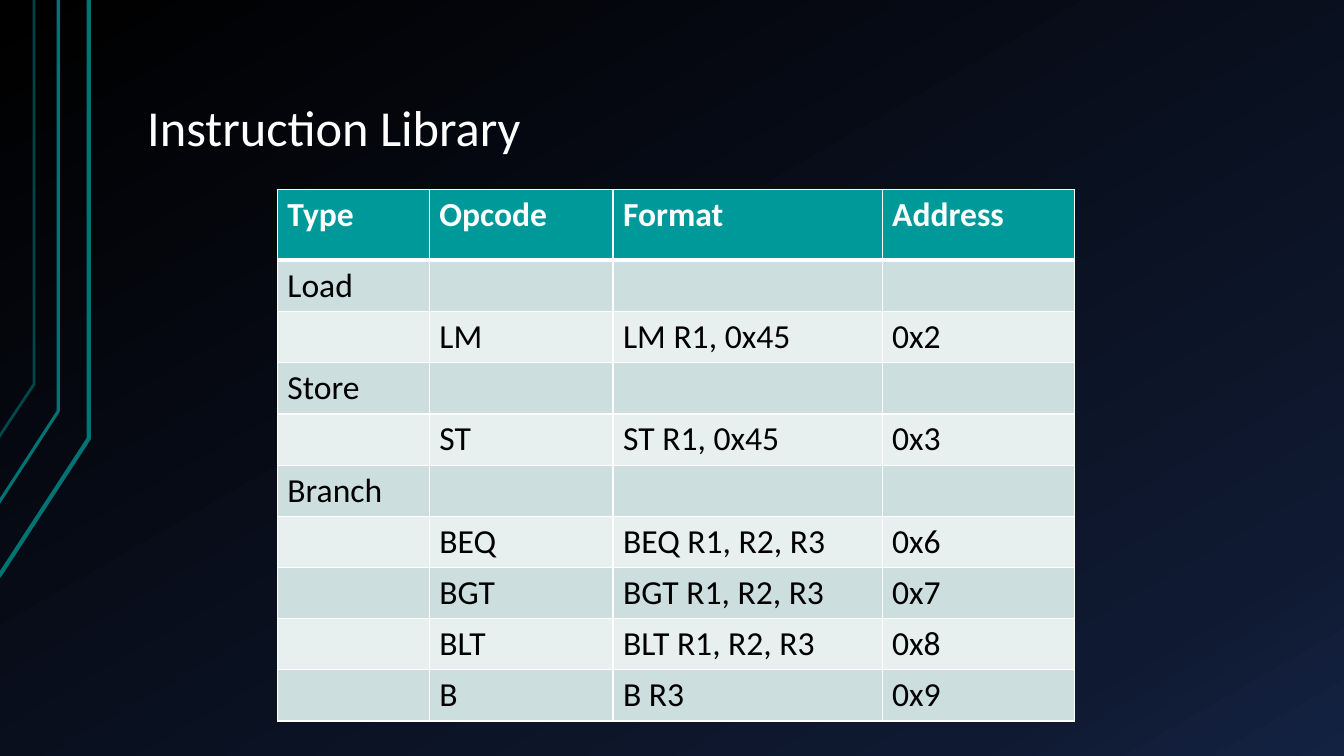
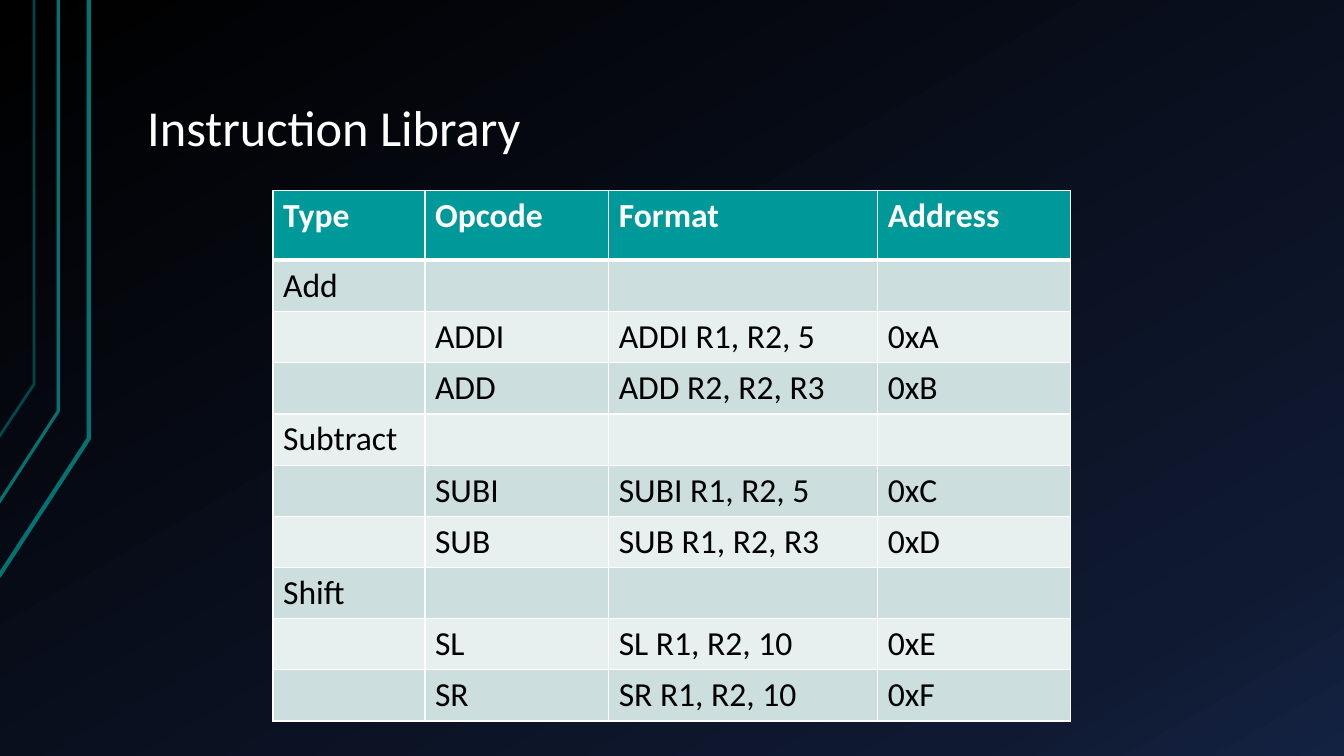
from dataclasses import dataclass
from typing import Any

from lxml.etree import SubElement
from pptx import Presentation
from pptx.dml.color import RGBColor
from pptx.enum.text import MSO_ANCHOR, PP_ALIGN
from pptx.oxml.ns import qn
from pptx.util import Cm, Pt

FONT = "Calibri"
WHITE, BLACK = "FFFFFF", "000000"
TEAL, DARK_TEAL = "009999", "007373"
BANDS = ("CCDEDE", "E7EFEF")
BACKDROP = ((0, "000000"), (85, "0F1931"), (100, "142242"))

TITLE_BOX = {"left": Cm(3.38), "top": Cm(0.76), "width": Cm(28.78), "height": Cm(3.4)}
TITLE_FRAME = {
    "margin_left": Cm(0.33), "margin_right": Cm(0.33),
    "margin_top": Cm(0.18), "margin_bottom": Cm(0.18),
    "vertical_anchor": MSO_ANCHOR.BOTTOM, "word_wrap": True,
}
TITLE_PARAGRAPH = {"alignment": PP_ALIGN.LEFT, "line_spacing": 0.9}
TITLE_FONT = {"name": FONT, "size": Pt(36), "bold": False}
HEADER_FONT = {"name": FONT, "size": Pt(24), "bold": True}
BODY_FONT = {"name": FONT, "size": Pt(24), "bold": False}

HEADINGS = ("Type", "Opcode", "Format", "Address")
COLUMN_WIDTHS = (3.83, 4.63, 6.78, 4.85)
ROW_HEIGHT = 1.29
THIN, THICK = 1, 3


@dataclass(frozen=True)
class Trace:
    start_y: float
    bend_x: float
    bend_y: float
    weight: float
    opacity: int = 100


@dataclass(frozen=True)
class Instruction:
    opcode: str
    format: str
    address: str


@dataclass(frozen=True)
class Library:
    left: float
    top: float
    header_height: float
    groups: dict[str, tuple[Instruction, ...]]


TRACES = (
    Trace(14.53, 2.24, 11.05, 3),
    Trace(12.67, 1.47, 10.36, 2.25),
    Trace(11.02, 0.86, 9.68, 2, 60),
)

LIBRARIES = (
    Library(6.99, 4.78, 1.78, {
        "Load": (Instruction("LM", "LM R1, 0x45", "0x2"),),
        "Store": (Instruction("ST", "ST R1, 0x45", "0x3"),),
        "Branch": (
            Instruction("BEQ", "BEQ R1, R2, R3", "0x6"),
            Instruction("BGT", "BGT R1, R2, R3", "0x7"),
            Instruction("BLT", "BLT R1, R2, R3", "0x8"),
            Instruction("B", "B R3", "0x9"),
        ),
    }),
    Library(6.88, 4.8, 1.76, {
        "Add": (
            Instruction("ADDI", "ADDI R1, R2, 5", "0xA"),
            Instruction("ADD", "ADD R2, R2, R3", "0xB"),
        ),
        "Subtract": (
            Instruction("SUBI", "SUBI R1, R2, 5", "0xC"),
            Instruction("SUB", "SUB R1, R2, R3", "0xD"),
        ),
        "Shift": (
            Instruction("SL", "SL R1, R2, 10", "0xE"),
            Instruction("SR", "SR R1, R2, 10", "0xF"),
        ),
    }),
)


def rgb(value: str) -> RGBColor:
    return RGBColor.from_string(value)


def apply(target: Any, values: dict[str, Any]) -> None:
    for name, value in values.items():
        setattr(target, name, value)


def write(p: Any, text: str, font: dict[str, Any], color: str) -> None:
    r = p.add_run()
    r.text = text
    apply(r.font, font)
    r.font.color.rgb = rgb(color)


def paint_background(master: Any) -> None:
    fill = master.background.fill
    fill.gradient()
    fill.gradient_angle = 300
    stops = next(master.element.iter(qn("a:gsLst")))
    for stop in list(stops):
        stops.remove(stop)
    for position, color in BACKDROP:
        stop = SubElement(stops, qn("a:gs"), pos=str(position * 1000))
        SubElement(stop, qn("a:srgbClr"), val=color)


def add_trace(s: Any, trace: Trace) -> Any:
    builder = s.shapes.build_freeform(Cm(-0.03), Cm(trace.start_y))
    bend_x = Cm(trace.bend_x)
    builder.add_line_segments([(bend_x, Cm(trace.bend_y)), (bend_x, 0)], close=False)
    sp = builder.convert_to_shape()
    sp.shadow.inherit = False
    sp.fill.background()
    sp.line.width = Pt(trace.weight)
    sp.line.color.rgb = rgb(DARK_TEAL)
    if trace.opacity < 100:
        color = next(sp.line._ln.iter(qn("a:srgbClr")))
        SubElement(color, qn("a:alpha"), val=str(trace.opacity * 1000))
    return sp


def move_to_layout(layout: Any, sp: Any, index: int) -> None:
    layout.shapes.element.insert(2 + index, sp.element)


def add_title(s: Any, text: str) -> None:
    p = s.shapes.title.text_frame.paragraphs[0]
    apply(p, TITLE_PARAGRAPH)
    write(p, text, TITLE_FONT, WHITE)


def set_borders(cell: Any, row: int) -> None:
    props = cell._tc.get_or_add_tcPr()
    weights = {
        "L": THIN, "R": THIN,
        "T": THICK if row == 1 else THIN,
        "B": THICK if row == 0 else THIN,
    }
    for side, weight in weights.items():
        ln = SubElement(props, qn(f"a:ln{side}"), w=str(Pt(weight)))
        SubElement(SubElement(ln, qn("a:solidFill")), qn("a:srgbClr"), val=WHITE)


def format_cell(cell: Any, row: int, text: str) -> None:
    set_borders(cell, row)
    cell.fill.solid()
    cell.fill.fore_color.rgb = rgb(BANDS[(row - 1) % 2] if row else TEAL)
    if text:
        font, color = (BODY_FONT, BLACK) if row else (HEADER_FONT, WHITE)
        write(cell.text_frame.paragraphs[0], text, font, color)


def table_rows(library: Library) -> list[tuple[str, ...]]:
    rows: list[tuple[str, ...]] = [HEADINGS]
    for kind, instructions in library.groups.items():
        rows.append((kind, "", "", ""))
        rows.extend(("", i.opcode, i.format, i.address) for i in instructions)
    return rows


def add_library(s: Any, library: Library) -> None:
    rows = table_rows(library)
    heights = [library.header_height] + [ROW_HEIGHT] * (len(rows) - 1)
    table = s.shapes.add_table(
        len(rows), len(HEADINGS), Cm(library.left), Cm(library.top),
        Cm(sum(COLUMN_WIDTHS)), Cm(sum(heights)),
    ).table
    for column, width in zip(table.columns, COLUMN_WIDTHS):
        column.width = Cm(width)
    for row, (texts, height) in enumerate(zip(rows, heights)):
        table.rows[row].height = Cm(height)
        for col, text in enumerate(texts):
            format_cell(table.cell(row, col), row, text)


def main() -> None:
    prs = Presentation()
    prs.slide_width, prs.slide_height = Cm(33.87), Cm(19.05)
    paint_background(prs.slide_master)
    layout = prs.slide_layouts.get_by_name("Title Only")
    title = layout.placeholders[0]
    apply(title, TITLE_BOX)
    apply(title.text_frame, TITLE_FRAME)

    slides = [prs.slides.add_slide(layout) for _ in LIBRARIES]
    for index, trace in enumerate(TRACES):
        move_to_layout(layout, add_trace(slides[0], trace), index)
    for s, library in zip(slides, LIBRARIES):
        add_title(s, "Instruction Library")
        add_library(s, library)
    prs.save("out.pptx")


if __name__ == "__main__":
    main()
